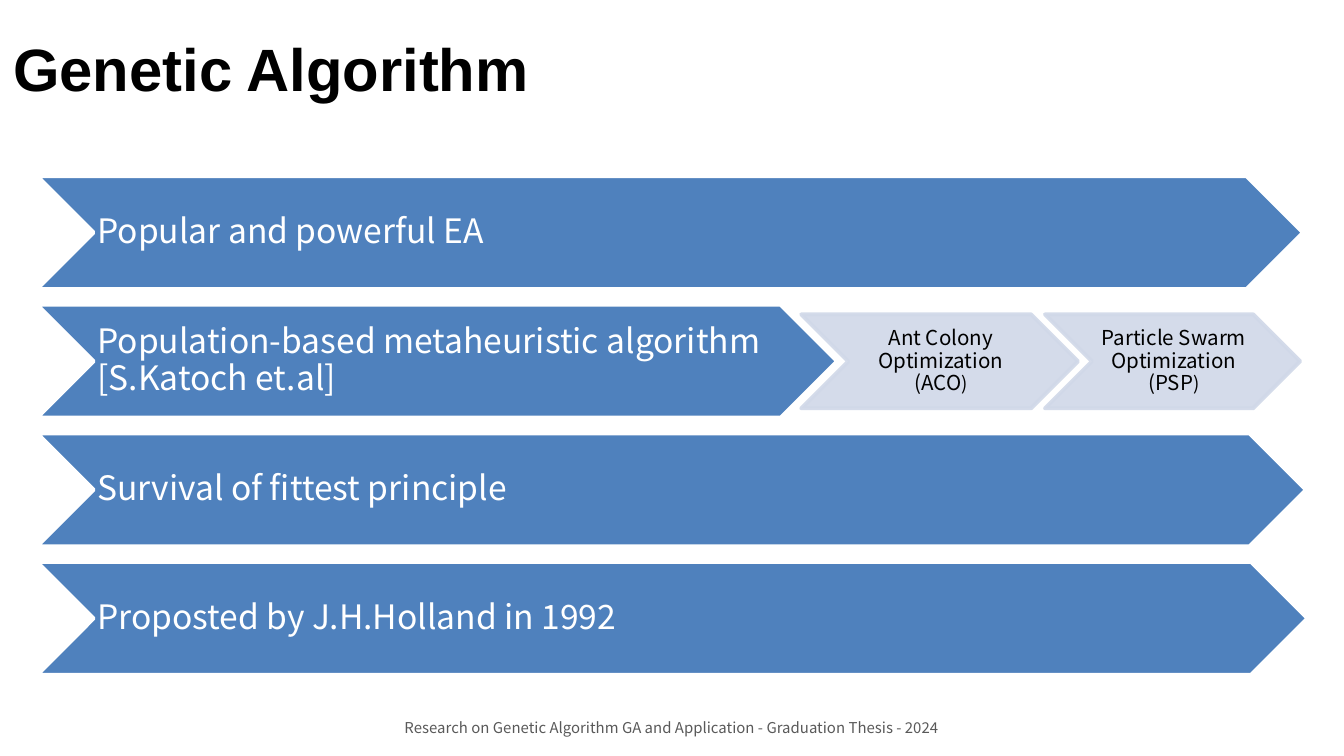
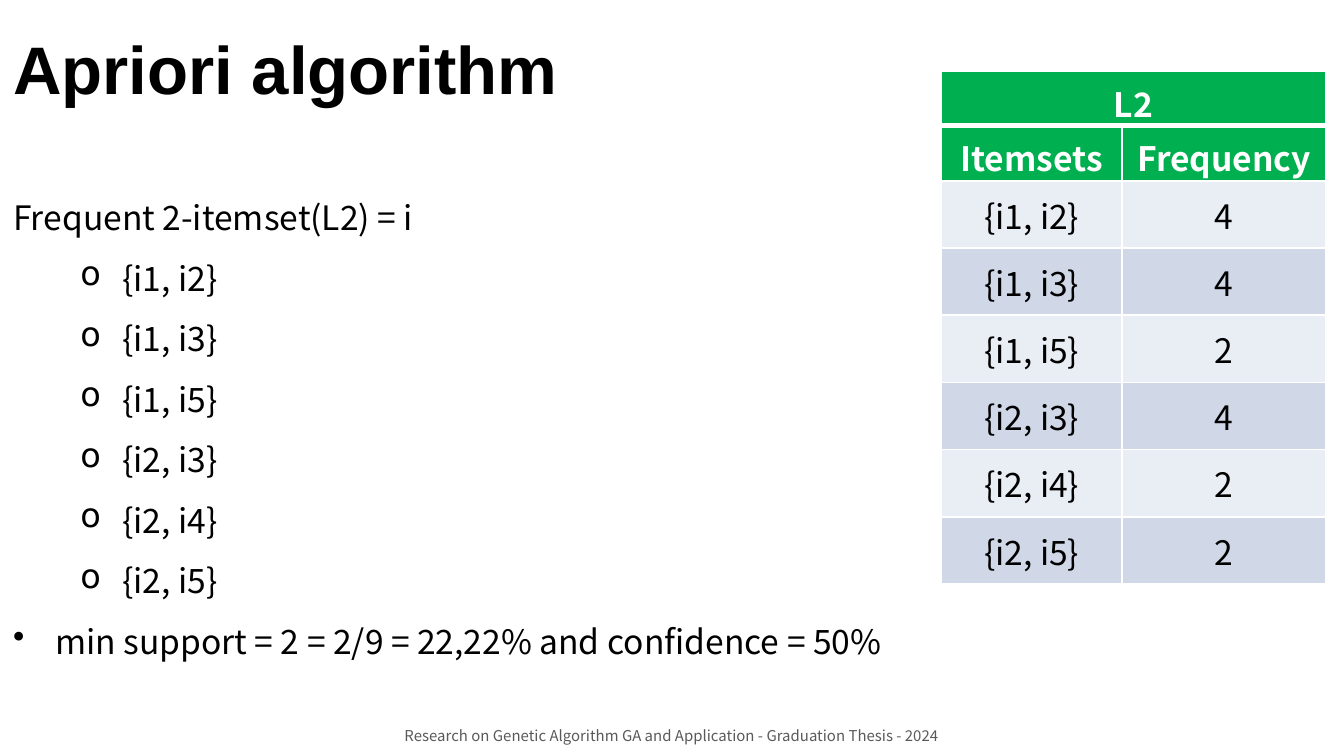
from dataclasses import dataclass

import pptx
import pptx.dml.color
import pptx.enum.shapes
import pptx.enum.text
import pptx.oxml
import pptx.oxml.ns
import pptx.util
from lxml import etree

Pt = pptx.util.Pt
Align = pptx.enum.text.PP_ALIGN
Anchor = pptx.enum.text.MSO_ANCHOR


@dataclass(frozen=True)
class Theme:
    title_font: str = "Arial"
    body_font: str = "Noto Sans CJK KR"
    black: str = "000000"
    white: str = "FFFFFF"
    blue: str = "4F81BD"
    pale_blue: str = "D0D8E8"
    paler_blue: str = "E9EDF4"
    green: str = "00B050"
    grey: str = "595959"
    body_size: float = 18
    detail_size: float = 11
    detail_end_size: float = 10
    footer_size: float = 8


THEME = Theme()
SLIDE_WIDTH, SLIDE_HEIGHT = 720, 405
FOOTER = "Research on Genetic Algorithm GA and Application - Graduation Thesis - 2024"


@dataclass(frozen=True)
class Box:
    left: float
    top: float
    width: float
    height: float

    def lengths(self) -> tuple:
        return Pt(self.left), Pt(self.top), Pt(self.width), Pt(self.height)


@dataclass(frozen=True)
class Chevron:
    text: str
    box: Box
    is_detail: bool = False


def rgb(color: str) -> pptx.dml.color.RGBColor:
    return pptx.dml.color.RGBColor.from_string(color)


def add_text(paragraph, text: str, *, size: float = THEME.body_size,
             color: str = THEME.black, font: str = THEME.body_font,
             bold: bool = False, align=Align.LEFT, spacing: float = 1.0) -> None:
    """Append a formatted run and set the paragraph's alignment and spacing."""
    paragraph.alignment = align
    paragraph.line_spacing = spacing
    run = paragraph.add_run()
    run.text = text
    run.font.size = Pt(size)
    run.font.name = font
    run.font.bold = bold
    run.font.color.rgb = rgb(color)


def add_frame(slide, box: Box, anchor=Anchor.TOP):
    frame = slide.shapes.add_textbox(*box.lengths()).text_frame
    frame.word_wrap = True
    frame.vertical_anchor = anchor
    return frame


def add_base_slide(deck, title: str, title_size: float, footer_top: float):
    slide = deck.slides.add_slide(deck.slide_layouts[6])
    heading = add_frame(slide, Box(0, 2, SLIDE_WIDTH, 68), Anchor.MIDDLE)
    add_text(heading.paragraphs[0], title, size=title_size,
             font=THEME.title_font, bold=True)
    footer = add_frame(slide, Box(0, footer_top, SLIDE_WIDTH, 17))
    add_text(footer.paragraphs[0], FOOTER, size=THEME.footer_size,
             color=THEME.grey, align=Align.CENTER)
    return slide


def set_opacity(shape, percent: int) -> None:
    for color in shape.fill._xPr.iter(pptx.oxml.ns.qn("a:srgbClr")):
        etree.SubElement(color, pptx.oxml.ns.qn("a:alpha"), val=str(percent * 1000))


def draw_chevron(slide, chevron: Chevron) -> None:
    box = chevron.box
    shape = slide.shapes.add_shape(
        pptx.enum.shapes.MSO_SHAPE.CHEVRON, *box.lengths())
    shape.shadow.inherit = False
    shape.fill.solid()
    shape.fill.fore_color.rgb = rgb(
        THEME.pale_blue if chevron.is_detail else THEME.blue)
    shape.line.color.rgb = rgb(
        THEME.pale_blue if chevron.is_detail else THEME.white)
    shape.line.width = Pt(2)

    label = Box(box.left + box.height / 2, box.top,
                box.width - box.height, box.height)
    frame = add_frame(slide, label, Anchor.MIDDLE)
    frame.margin_left = Pt(1.4 if chevron.is_detail else 2)
    frame.margin_right = 0
    frame.margin_top = frame.margin_bottom = Pt(0.7)
    paragraph = frame.paragraphs[0]
    if chevron.is_detail:
        set_opacity(shape, 90)
        for text, size in ((chevron.text[:-1], THEME.detail_size),
                           (chevron.text[-1], THEME.detail_end_size)):
            add_text(paragraph, text, size=size, align=Align.CENTER, spacing=0.9)
    else:
        add_text(paragraph, chevron.text, color=THEME.white, spacing=0.9)


def build_genetic_slide(deck) -> None:
    slide = add_base_slide(deck, "Genetic Algorithm", 32, 381.6)
    left, top, pitch, height = 20, 94.4, 68.9, 60.4
    facts = (
        ("Popular and powerful EA", 678),
        ("Population-based metaheuristic algorithm [S.Katoch et.al]", 428.4),
        ("Survival of fittest principle", 679.6),
        ("Proposted by J.H.Holland in 1992", 680.4),
    )
    for row, (text, width) in enumerate(facts):
        draw_chevron(slide, Chevron(
            text, Box(left, top + row * pitch, width, height)))

    examples = (
        ("Ant Colony Optimization (ACO)", 429.2, 148.4),
        ("Particle Swarm Optimization (PSP)", 559.8, 136.8),
    )
    for text, example_left, width in examples:
        draw_chevron(slide, Chevron(
            text, Box(example_left, 168.4, width, 50.4), is_detail=True))


def set_bullet(paragraph, mark: str, indent: float, hanging: float) -> None:
    properties = paragraph._p.get_or_add_pPr()
    properties.set("marL", str(Pt(indent)))
    properties.set("indent", str(-Pt(hanging)))
    etree.SubElement(properties, pptx.oxml.ns.qn("a:buChar"), char=mark)


def set_borders(cell, bottom_width: float = 1) -> None:
    properties = cell._tc.get_or_add_tcPr()
    widths = {"lnL": 1, "lnR": 1, "lnT": 1, "lnB": bottom_width}
    for position, (side, width) in enumerate(widths.items()):
        properties.insert(position, pptx.oxml.parse_xml(
            f'<a:{side} {pptx.oxml.ns.nsdecls("a")} w="{Pt(width)}"><a:solidFill>'
            f'<a:srgbClr val="{THEME.white}"/></a:solidFill></a:{side}>'))


def draw_frequency_table(slide, frequencies: dict) -> None:
    rows = [("L2", ""), ("Itemsets", "Frequency"), *frequencies.items()]
    heights = [28, 29.6] + [36] * len(frequencies)
    table = slide.shapes.add_table(
        len(rows), 2, *Box(504.2, 38.4, 206.2, sum(heights)).lengths()).table
    table.first_row = table.horz_banding = False
    for column, width in zip(table.columns, (97, 109.2)):
        column.width = Pt(width)
    table.cell(0, 0).merge(table.cell(0, 1))

    for row, (values, height) in enumerate(zip(rows, heights)):
        table.rows[row].height = Pt(height)
        is_header = row < 2
        band = THEME.pale_blue if row % 2 else THEME.paler_blue
        for column, value in enumerate(values):
            cell = table.cell(row, column)
            cell.fill.solid()
            cell.fill.fore_color.rgb = rgb(THEME.green if is_header else band)
            cell.vertical_anchor = Anchor.MIDDLE
            set_borders(cell, bottom_width=3 if row == 0 else 1)
            if value:
                add_text(cell.text_frame.paragraphs[0], value, bold=is_header,
                         color=THEME.white if is_header else THEME.black,
                         align=Align.CENTER)


def build_apriori_slide(deck) -> None:
    slide = add_base_slide(deck, "Apriori algorithm", 36, 386)
    frequencies = {
        "{i1, i2}": "4", "{i1, i3}": "4", "{i1, i5}": "2",
        "{i2, i3}": "4", "{i2, i4}": "2", "{i2, i5}": "2",
    }
    draw_frequency_table(slide, frequencies)

    findings = add_frame(slide, Box(0, 91.4, 504.8, 265))
    add_text(findings.paragraphs[0], "Frequent 2-itemset(L2) = i", spacing=1.5)
    for itemset in frequencies:
        paragraph = findings.add_paragraph()
        paragraph.level = 1
        add_text(paragraph, itemset, spacing=1.5)
        set_bullet(paragraph, "o", 58.5, 22.5)
    thresholds = findings.add_paragraph()
    add_text(thresholds, "min support = 2 = 2/9 = 22,22% and confidence = 50%",
             spacing=1.5)
    set_bullet(thresholds, "•", 22.5, 22.5)


def main() -> None:
    deck = pptx.Presentation()
    deck.slide_width, deck.slide_height = Pt(SLIDE_WIDTH), Pt(SLIDE_HEIGHT)
    build_genetic_slide(deck)
    build_apriori_slide(deck)
    deck.save("out.pptx")


if __name__ == "__main__":
    main()
